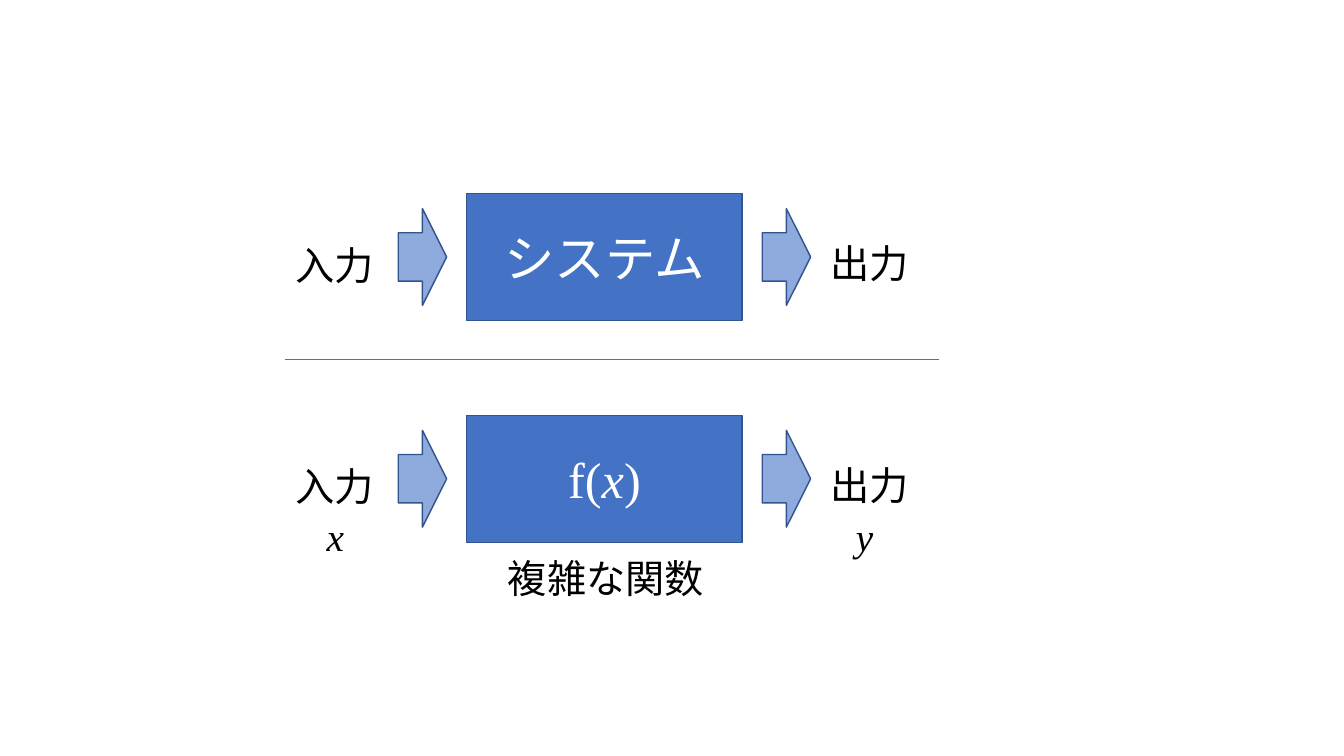
"""Build a slide that compares a system with a function, each turning input into output."""
from dataclasses import dataclass

from lxml import etree
from pptx import Presentation
from pptx.dml.color import RGBColor
from pptx.enum.shapes import MSO_CONNECTOR, MSO_SHAPE
from pptx.enum.text import MSO_ANCHOR, MSO_AUTO_SIZE, PP_ALIGN
from pptx.oxml.ns import qn
from pptx.util import Inches, Pt

RECTANGLE, ARROW = MSO_SHAPE.RECTANGLE, MSO_SHAPE.RIGHT_ARROW
STRAIGHT = MSO_CONNECTOR.STRAIGHT
MIDDLE, CENTER, LEFT = MSO_ANCHOR.MIDDLE, PP_ALIGN.CENTER, PP_ALIGN.LEFT
GROW = MSO_AUTO_SIZE.SHAPE_TO_FIT_TEXT
BLANK_LAYOUT = 6


@dataclass(frozen=True)
class Theme:
    box: str = "4472C4"
    arrow: str = "8FAADC"
    outline: str = "325491"
    label: str = "000000"
    box_label: str = "FFFFFF"
    japanese: str = "Noto Sans CJK JP"
    formula: str = "Times New Roman"
    box_size: int = 36
    label_size: int = 28
    outline_width: float = 1
    divider_width: float = 0.5


class Page:
    def __init__(self, deck, theme, columns, rows):
        self.theme = theme
        self.shapes = deck.slides.add_slide(deck.slide_layouts[BLANK_LAYOUT]).shapes
        self.column = deck.slide_width / columns
        self.row = deck.slide_height / rows

    def place(self, left, top, width, height):
        return (round(left * self.column), round(top * self.row),
                round(width * self.column), round(height * self.row))

    def set_text(self, frame, spans, font, size, color, align):
        para = frame.paragraphs[0]
        para.alignment = align
        para.font.size = Pt(size)
        para.font.color.rgb = RGBColor.from_string(color)
        para.font.name = font
        defaults = para._p.pPr.find(qn("a:defRPr"))
        etree.SubElement(defaults, qn("a:ea"), typeface=font)
        for text, italic in spans:
            span = para.add_run()
            span.text = text
            if italic:
                span.font.italic = True

    def shape(self, kind, area, fill):
        shape = self.shapes.add_shape(kind, *self.place(*area))
        shape.shadow.inherit = False
        shape.fill.solid()
        shape.fill.fore_color.rgb = RGBColor.from_string(fill)
        shape.line.color.rgb = RGBColor.from_string(self.theme.outline)
        shape.line.width = Pt(self.theme.outline_width)
        return shape

    def box(self, area, spans, font):
        frame = self.shape(RECTANGLE, area, self.theme.box).text_frame
        frame.vertical_anchor = MIDDLE
        self.set_text(frame, spans, font, self.theme.box_size, self.theme.box_label, CENTER)

    def arrow(self, area):
        self.shape(ARROW, area, self.theme.arrow)

    def label(self, area, text, font, italic=False):
        frame = self.shapes.add_textbox(*self.place(*area)).text_frame
        frame.word_wrap = False
        frame.auto_size = GROW
        self.set_text(frame, [(text, italic)], font, self.theme.label_size,
                      self.theme.label, LEFT)

    def divider(self, left, right, top):
        start_x, start_y, width, _ = self.place(left, top, right - left, 0)
        line = self.shapes.add_connector(STRAIGHT, start_x, start_y, start_x + width, start_y)
        line.line.color.rgb = RGBColor.from_string(self.theme.box)
        line.line.width = Pt(self.theme.divider_width)
        etree.SubElement(line._element.spPr, qn("a:effectLst"))

    def flow(self, top, spans, font):
        self.box((46.3, top, 27.3, 12.6), spans, font)
        for left in (39.5, 75.6):
            self.arrow((left, top + 1.5, 4.8, 9.6))
        self.label((81.4, top + 4.1, 9.9, 5.7), "出力", self.theme.japanese)
        self.label((28.3, top + 4.2, 9.9, 5.7), "入力", self.theme.japanese)


def main():
    deck = Presentation()
    deck.slide_width, deck.slide_height = Inches(13.33), Inches(7.5)
    theme = Theme()
    page = Page(deck, theme, columns=133.3, rows=75)
    page.flow(19.2, [("システム", False)], theme.japanese)
    page.flow(41.2, [("f(", False), ("x", True), (")", False)], theme.formula)
    for left, variable in ((31.4, "x"), (83.9, "y")):
        page.label((left, 50.3, 3.8, 5.7), variable, theme.formula, italic=True)
    page.divider(28.3, 93.1, 35.7)
    page.label((49.4, 54.5, 21.7, 5.7), "複雑な関数", theme.japanese)
    deck.save("out.pptx")


main()
